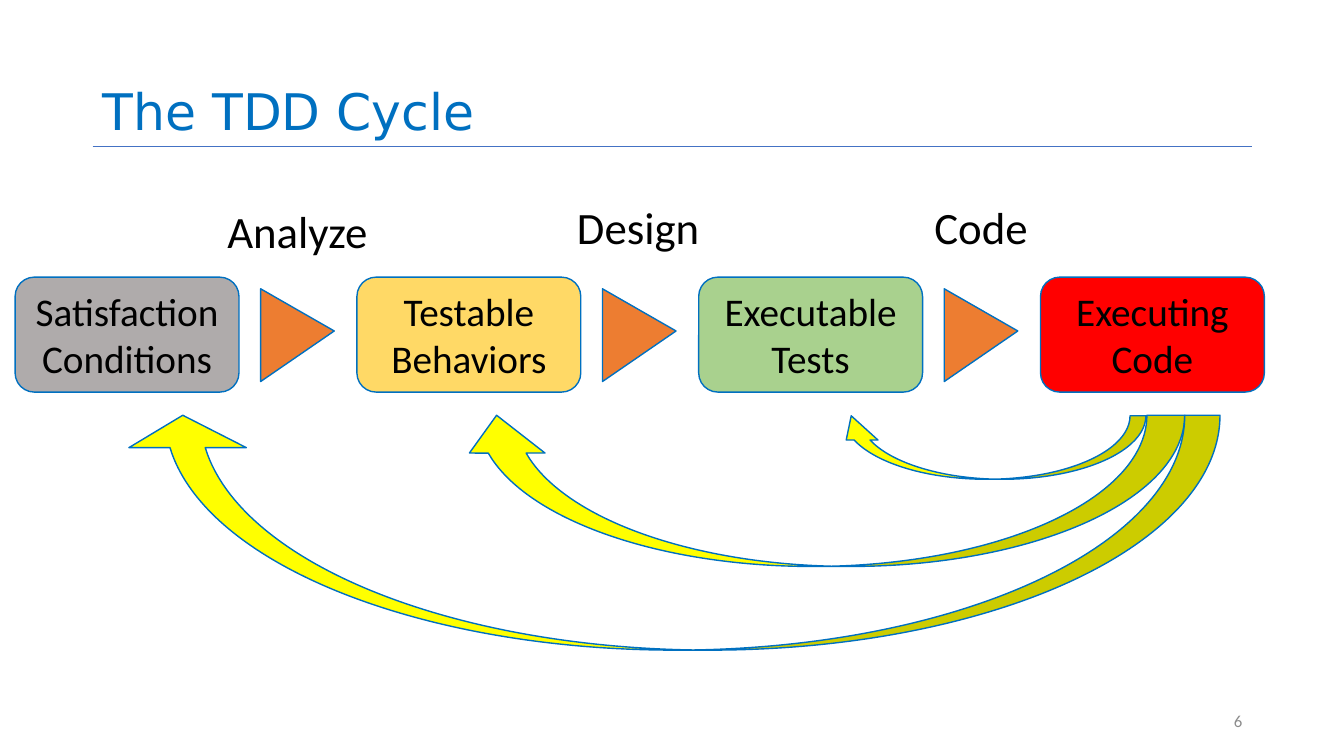
from lxml import etree
from pptx import Presentation
from pptx.dml.color import RGBColor
from pptx.enum.shapes import MSO_CONNECTOR, MSO_SHAPE
from pptx.enum.text import MSO_ANCHOR, PP_ALIGN
from pptx.oxml.ns import qn
from pptx.util import Inches, Pt

ROUND_BOX = MSO_SHAPE.ROUNDED_RECTANGLE
TRIANGLE = MSO_SHAPE.ISOSCELES_TRIANGLE
CURVED_ARROW = MSO_SHAPE.CURVED_LEFT_ARROW
STRAIGHT = MSO_CONNECTOR.STRAIGHT
MIDDLE, BOTTOM = MSO_ANCHOR.MIDDLE, MSO_ANCHOR.BOTTOM
LEFT, CENTER, RIGHT = PP_ALIGN.LEFT, PP_ALIGN.CENTER, PP_ALIGN.RIGHT

COLORS = {
    "accent": "0070C0", "rule": "4472C4", "text": "000000", "number": "8C8C8C",
    "gray": "AFABAB", "gold": "FFD966", "green": "A9D18E", "red": "FF0000",
    "orange": "ED7D31", "yellow": "FFFF00",
}

STEP_LEFT, STEP_PITCH = 0.15, 3.39
STEPS = [
    ("Satisfaction Conditions", "gray"),
    ("Testable Behaviors", "gold"),
    ("Executable Tests", "green"),
    ("Executing Code", "red"),
]
# Label, left, top
ACTIVITIES = [("Analyze", 1.75, 1.99), ("Design", 5.13, 1.95), ("Code", 8.53, 1.95)]
# Left, top, width, height before rotation, adjustments
FEEDBACK_ARROWS = [
    (9.51, 2.9, 0.63, 3.08, (0.25, 0.5, 0.382)),
    (7.4, 1.27, 1.5, 7.2, (0.25, 0.5, 0.25)),
    (5.5, -0.15, 2.33, 10.87, (0.15, 0.5, 0.138)),
]


def color(name):
    return RGBColor.from_string(COLORS[name])


class SlideBuilder:
    """Holds the current slide and draws its elements in one style."""

    def __init__(self, slide, font="Calibri"):
        self.shapes = slide.shapes
        self.font = font

    def set_text(self, sp, text, size, ink="text", align=CENTER, anchor=MIDDLE,
                 font=None, spacing=1.0):
        """Fill a shape's text frame with one paragraph."""
        tf = sp.text_frame
        tf.word_wrap = True
        tf.vertical_anchor = anchor
        p = tf.paragraphs[0]
        p.text = text
        p.alignment = align
        p.line_spacing = spacing
        p.font.name = font or self.font
        p.font.size = Pt(size)
        p.font.color.rgb = color(ink)

    def text(self, box, text, size, **style):
        sp = self.shapes.add_textbox(*map(Inches, box))
        self.set_text(sp, text, size, **style)

    def shape(self, kind, box, fill, rotation=0, adjustments=()):
        sp = self.shapes.add_shape(kind, *map(Inches, box))
        sp.shadow.inherit = False
        sp.rotation = rotation
        for i, value in enumerate(adjustments):
            sp.adjustments[i] = value
        sp.fill.solid()
        sp.fill.fore_color.rgb = color(fill)
        sp.line.color.rgb = color("accent")
        sp.line.width = Pt(1)
        return sp

    def line(self, x1, y1, x2, y2):
        ln = self.shapes.add_connector(STRAIGHT, *map(Inches, (x1, y1, x2, y2)))
        ln.line.color.rgb = color("rule")
        ln.line.width = Pt(0.5)
        etree.SubElement(ln._element.spPr, qn("a:effectLst"))


def main():
    prs = Presentation()
    prs.slide_width, prs.slide_height = Inches(13.33), Inches(7.5)
    s = SlideBuilder(prs.slides.add_slide(prs.slide_layouts[6]))

    s.line(0.92, 1.45, 12.42, 1.45)
    s.text((0.92, 0, 11.5, 1.45), "The TDD Cycle", 36, ink="accent", align=LEFT,
           anchor=BOTTOM, font="DejaVu Sans", spacing=0.9)
    s.text((9.42, 6.95, 3, 0.4), "6", 12, ink="number", align=RIGHT)

    for i, (name, fill) in enumerate(STEPS):
        box = s.shape(ROUND_BOX, (STEP_LEFT + i * STEP_PITCH, 2.75, 2.22, 1.14), fill)
        s.set_text(box, name, 28)

    for i, (name, left, top) in enumerate(ACTIVITIES):
        s.shape(TRIANGLE, (2.49 + i * STEP_PITCH, 2.96, 0.92, 0.73), "orange",
                rotation=90, adjustments=(0.455,))
        s.text((left, top, 2.4, 0.6), name, 32)

    for *box, adjustments in FEEDBACK_ARROWS:
        s.shape(CURVED_ARROW, box, "yellow", rotation=90, adjustments=adjustments)

    prs.save("out.pptx")


if __name__ == "__main__":
    main()
